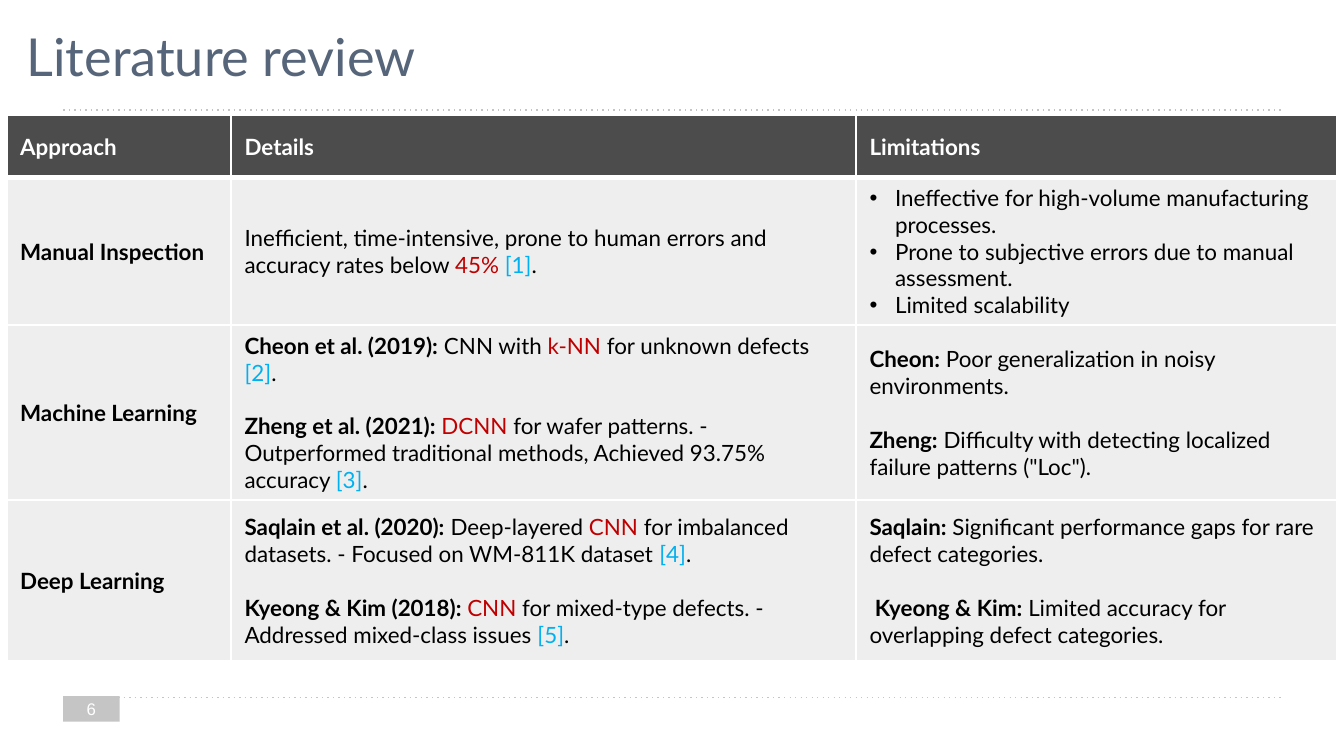
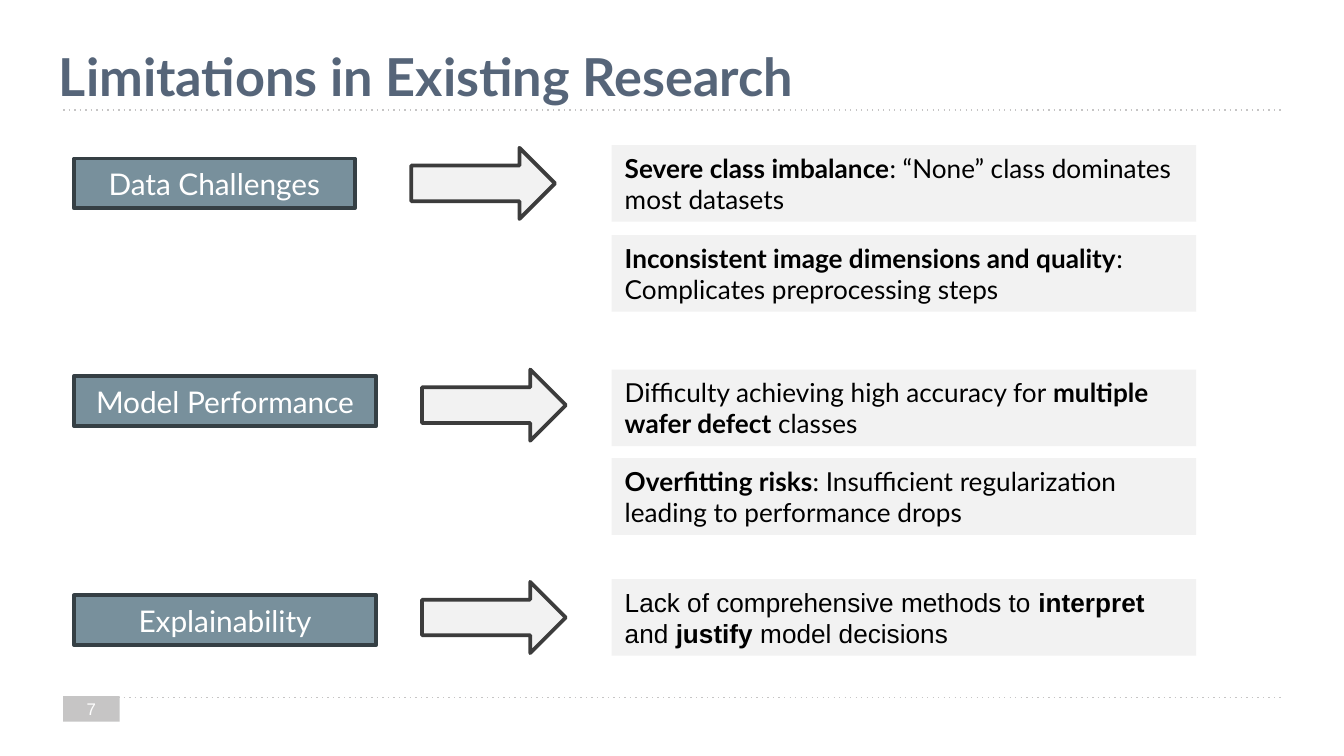
from lxml.etree import SubElement
from pptx import Presentation
from pptx.dml.color import RGBColor as Rgb
from pptx.enum.dml import MSO_LINE as Dash
from pptx.enum.shapes import MSO_CONNECTOR as Link, MSO_SHAPE as Shape
from pptx.enum.text import MSO_ANCHOR as Anchor, PP_ALIGN as Align
from pptx.oxml import parse_xml
from pptx.oxml.ns import nsdecls, qn
from pptx.util import Pt

PX = 9144
COLORS = {
    "title": "566579", "rule": "C6C5C5", "white": "FFFFFF", "text": "000000",
    "header": "4D4C4C", "row": "EEEEEE", "method": "C00000", "cite": "00B0F0",
    "topic": "78909C", "topic_edge": "353F44", "panel": "F2F2F2", "arrow_edge": "3C3C3C",
}
TITLE = {"name": "Lato", "size": Pt(28), "bold": False}
PAGE = {"name": "Arial", "size": Pt(9), "bold": False}
CELL = {"name": "Lato", "size": Pt(12), "bold": False}
TOPIC = {"name": "Lato", "size": Pt(16), "bold": False}
FINDING = {"name": "Lato", "size": Pt(14), "bold": False}


def write(paragraph, runs, text_format, color="text", align=Align.LEFT):
    paragraph.alignment = align
    for words, style in runs:
        run = paragraph.add_run()
        run.text = words
        for key, value in text_format.items():
            setattr(run.font, key, value)
        if style == "bold":
            run.font.bold = True
        run.font.color.rgb = Rgb.from_string(COLORS.get(style, COLORS[color]))


def draw(slide, kind, place, fill, edge=None):
    shape = slide.shapes.add_shape(kind, *[n * PX for n in place])
    shape.shadow.inherit = False
    shape.fill.solid()
    shape.fill.fore_color.rgb = Rgb.from_string(COLORS[fill])
    if edge:
        shape.line.color.rgb = Rgb.from_string(COLORS[edge])
        shape.line.width = Pt(2)
    else:
        shape.line.fill.background()
    return shape


prs = Presentation()
prs.slide_width = 1000 * PX
prs.slide_height = prs.slide_width * 9 // 16

slides = []
for page, title, style, left, top in [
    ("6", "Literature review", "", 10, 8),
    ("7", "Limitations in Existing Research", "bold", 34, 23),
]:
    slide = prs.slides.add_slide(prs.slide_layouts[6])
    slides.append(slide)
    for y in (519, 82):
        rule = slide.shapes.add_connector(Link.STRAIGHT, 47 * PX, y * PX, 953 * PX, y * PX)
        rule.line.color.rgb = Rgb.from_string(COLORS["rule"])
        rule.line.width = Pt(0.75)
        rule.line.dash_style = Dash.ROUND_DOT
        properties = rule._element.spPr
        properties.find(".//" + qn("a:prstDash")).set("val", "dot")
        SubElement(properties, qn("a:effectLst"))
    badge = draw(slide, Shape.RECTANGLE, (47, 518, 42, 19), "rule")
    write(badge.text_frame.paragraphs[0], [(page, "")], PAGE, "white", Align.CENTER)
    heading = slide.shapes.add_textbox(left * PX, top * PX, 932 * PX, 51 * PX).text_frame
    heading.word_wrap = True
    for side in ("left", "top", "right", "bottom"):
        setattr(heading, f"margin_{side}", 10 * PX)
        setattr(badge.text_frame, f"margin_{side}", 0)
    write(heading.paragraphs[0], [(title, style)], TITLE, "title")

review, limits = slides

literature = [
    [[[("Approach", "bold")]], [[("Details", "bold")]], [[("Limitations", "bold")]]],
    [
        [[("Manual Inspection", "bold")]],
        [[("Inefficient, time-intensive, prone to human errors and accuracy rates below ", ""),
          ("45% ", "method"), ("[1]", "cite"), (".", "")]],
        [[("Ineffective for high-volume manufacturing processes.", "")],
         [("Prone to subjective errors due to manual assessment.", "")],
         [("Limited scalability", "")]],
    ],
    [
        [[("Machine Learning", "bold")]],
        [[("Cheon et al. (2019):", "bold"), (" CNN with ", ""), ("k-NN", "method"),
          (" for unknown defects ", ""), ("[2]", "cite"), (".", "")],
         [("Zheng et al. (2021): ", "bold"), ("DCNN", "method"),
          (" for wafer patterns. - Outperformed traditional methods, Achieved 93.75% accuracy ", ""),
          ("[3]", "cite"), (".", "")]],
        [[("Cheon:", "bold"), (" Poor generalization in noisy environments.", "")],
         [("Zheng:", "bold"), (' Difficulty with detecting localized failure patterns ("Loc").', "")]],
    ],
    [
        [[("Deep Learning", "bold")]],
        [[("Saqlain et al. (2020):", "bold"), (" Deep-layered ", ""), ("CNN ", "method"),
          ("for imbalanced datasets. - Focused on WM-811K dataset ", ""), ("[4]", "cite"), (".", "")],
         [("Kyeong & Kim (2018): ", "bold"), ("CNN", "method"),
          (" for mixed-type defects. - Addressed mixed-class issues ", ""), ("[5]", "cite"), (".", "")]],
        [[("Saqlain:", "bold"), (" Significant performance gaps for rare defect categories.", "")],
         [(" Kyeong & Kim:", "bold"), (" Limited accuracy for overlapping defect categories.", "")]],
    ],
]

table = review.shapes.add_table(4, 3, 5 * PX, 86 * PX, 990 * PX, 406 * PX).table
table.horz_banding = False
for column, width in zip(table.columns, (167, 465, 358)):
    column.width = width * PX
for row, height in zip(table.rows, (46, 110, 130, 120)):
    row.height = height * PX

for r, entries in enumerate(literature):
    for c, paragraphs in enumerate(entries):
        cell = table.cell(r, c)
        cell.vertical_anchor = Anchor.MIDDLE
        cell.fill.solid()
        cell.fill.fore_color.rgb = Rgb.from_string(COLORS["row" if r else "header"])
        borders = {"lnL": 1, "lnR": 1, "lnT": 3 if r == 1 else 1, "lnB": 1 if r else 3}
        for i, (border, points) in enumerate(borders.items()):
            cell._tc.tcPr.insert(i, parse_xml(
                f'<a:{border} {nsdecls("a")} w="{Pt(points)}"><a:solidFill>'
                f'<a:srgbClr val="{COLORS["white"]}"/></a:solidFill></a:{border}>'))
        bulleted = (r, c) == (1, 2)
        for i, runs in enumerate(paragraphs):
            paragraph = cell.text_frame.add_paragraph() if i else cell.text_frame.paragraphs[0]
            if bulleted:
                indent = paragraph._p.get_or_add_pPr()
                indent.set("marL", str(19 * PX))
                indent.set("indent", str(-19 * PX))
                ink = SubElement(indent, qn("a:buClr"))
                SubElement(ink, qn("a:srgbClr"), val=COLORS["text"])
                SubElement(indent, qn("a:buFont"), typeface="Arial")
                SubElement(indent, qn("a:buChar"), char="•")
            elif i:
                paragraph.space_before = Pt(14.4)
            write(paragraph, runs, CELL, "text" if r else "white")

topics = [
    ("Data Challenges", (55, 118, 209, 37), (306, 110), "Lato", [
        (108, [("Severe class imbalance", "bold"), (": “None” class dominates most datasets", "")]),
        (175, [("Inconsistent image dimensions and quality", "bold"),
               (": Complicates preprocessing steps", "")]),
    ]),
    ("Model Performance", (55, 280, 225, 37), (314, 275), "Lato", [
        (275, [("Difficulty achieving high accuracy for ", ""),
               ("multiple wafer defect", "bold"), (" classes", "")]),
        (341, [("Overfitting risks", "bold"),
               (": Insufficient regularization leading to performance drops", "")]),
    ]),
    ("Explainability", (55, 443, 225, 37), (314, 433), "Arial", [
        (431, [("Lack of comprehensive methods to ", ""), ("interpret", "bold"), (" and ", ""),
               ("justify", "bold"), (" model decisions", "")]),
    ]),
]

for topic, place, arrow_corner, typeface, findings in topics:
    label = draw(limits, Shape.RECTANGLE, place, "topic", "topic_edge")
    write(label.text_frame.paragraphs[0], [(topic, "")], TOPIC, "white", Align.CENTER)
    draw(limits, Shape.RIGHT_ARROW, (*arrow_corner, 107, 53), "panel", "arrow_edge")
    for top, runs in findings:
        panel = draw(limits, Shape.RECTANGLE, (455, top, 435, 57), "panel")
        write(panel.text_frame.paragraphs[0], runs, {**FINDING, "name": typeface})

prs.save("out.pptx")
